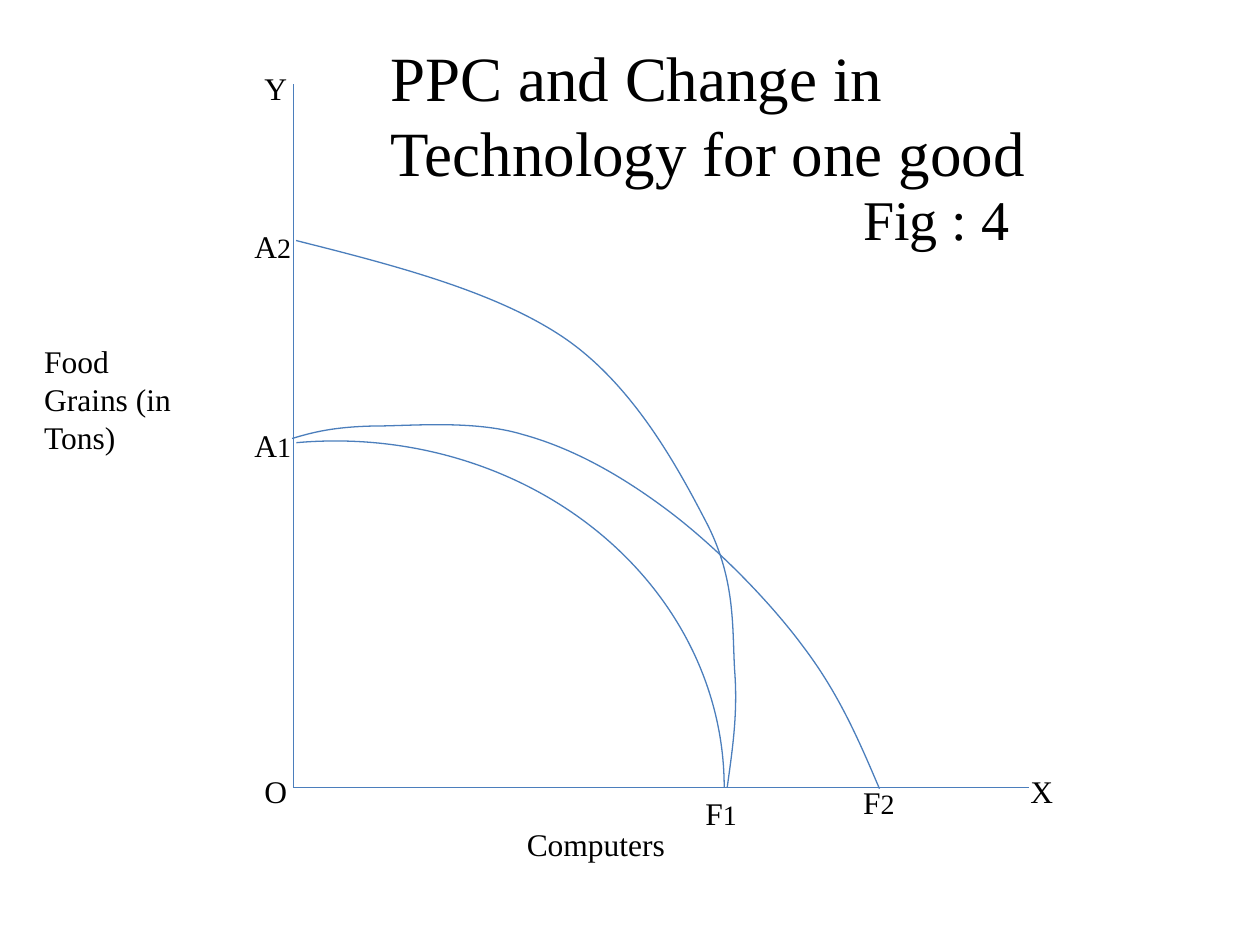
from dataclasses import dataclass

from lxml import etree
from pptx import Presentation
from pptx.dml.color import RGBColor
from pptx.enum.shapes import MSO_CONNECTOR, MSO_SHAPE
from pptx.enum.text import MSO_ANCHOR, MSO_AUTO_SIZE, PP_ALIGN
from pptx.oxml.ns import qn
from pptx.util import Cm, Pt

STRAIGHT = MSO_CONNECTOR.STRAIGHT
ARC = MSO_SHAPE.ARC
TOP = MSO_ANCHOR.TOP
GROW = MSO_AUTO_SIZE.SHAPE_TO_FIT_TEXT
LEFT = PP_ALIGN.LEFT


@dataclass(frozen=True)
class Theme:
    font: str = "Times New Roman"
    ink: RGBColor = RGBColor(0x00, 0x00, 0x00)
    curve: RGBColor = RGBColor(0x4B, 0x7E, 0xBC)
    line_width: float = 0.75
    title: int = 36
    figure: int = 32
    label: int = 18
    index: int = 16


theme = Theme()


def write_text(shape, box, runs):
    """Place a text shape and fill it with (text, size) runs."""
    shape.left, shape.top, shape.width, shape.height = [Cm(value) for value in box]
    frame = shape.text_frame
    frame.word_wrap = True
    frame.auto_size = GROW
    frame.vertical_anchor = TOP
    paragraph = frame.paragraphs[0]
    paragraph.alignment = LEFT
    for text, size in runs:
        run = paragraph.add_run()
        run.text = text
        run.font.name = theme.font
        run.font.size = Pt(size)
        run.font.color.rgb = theme.ink


def style_line(shape):
    shape.line.color.rgb = theme.curve
    shape.line.width = Pt(theme.line_width)


presentation = Presentation()
presentation.slide_width = Cm(25.4)
presentation.slide_height = Cm(19.05)
slide = presentation.slides.add_slide(presentation.slide_layouts[5])
shapes = slide.shapes

# Axes
origin = (5.92, 15.88)
for end in [(5.92, 1.7), (20.75, 15.88)]:
    axis = shapes.add_connector(STRAIGHT, *[Cm(value) for value in origin + end])
    style_line(axis)
    etree.SubElement(axis._element.spPr, qn("a:effectLst"))

# First frontier, A1 to F1
frontier = shapes.add_shape(ARC, Cm(-1.07), Cm(8.89), Cm(15.67), Cm(13.97))
frontier.adjustments[0] = 158.115
frontier.adjustments[1] = 0
frontier.fill.background()
frontier.shadow.inherit = False
style_line(frontier)

# Shifted frontiers: a start point, then three points for each Bezier piece
shifted_frontiers = [
    [(5.89, 8.84),
     (6.32, 8.71), (6.73, 8.61), (7.49, 8.59),
     (8.28, 8.59), (9.55, 8.46), (10.54, 8.76),
     (11.56, 9.04), (12.55, 9.6), (13.49, 10.31),
     (14.43, 11.02), (15.52, 12.12), (16.21, 13.06),
     (16.92, 14), (17.32, 14.94), (17.73, 15.9)],
    [(14.66, 15.88),
     (14.76, 15.14), (14.88, 14.4), (14.81, 13.51),
     (14.76, 12.65), (14.83, 11.71), (14.27, 10.59),
     (13.69, 9.47), (12.8, 7.8), (11.4, 6.83),
     (10.03, 5.89), (8, 5.36), (5.97, 4.85)],
]
for points in shifted_frontiers:
    start, *rest = [(Cm(x), Cm(y)) for x, y in points]
    builder = shapes.build_freeform(*start)
    builder.add_line_segments(rest, close=False)
    frontier = builder.convert_to_shape()
    frontier.fill.background()
    frontier.shadow.inherit = False
    style_line(frontier)
    # Turn every three straight segments into one Bezier piece
    segments = list(frontier._element.iter(qn("a:lnTo")))
    path_element = segments[0].getparent()
    for first in range(0, len(segments), 3):
        bezier = etree.SubElement(path_element, qn("a:cubicBezTo"))
        for segment in segments[first:first + 3]:
            bezier.append(segment[0])
            path_element.remove(segment)

# Point and axis labels: letter, index, left, top
point_labels = [
    ("A", "1", 4.88, 8.46),
    ("A", "2", 4.88, 4.45),
    ("F", "1", 13.97, 15.88),
    ("F", "2", 17.15, 15.67),
    ("X", "", 20.52, 15.44),
    ("Y", "", 5.08, 1.27),
    ("O", "", 5.08, 15.44),
]
texts = []
for letter, index, left, top in point_labels:
    runs = [(letter, theme.label)]
    if index:
        runs.append((index, theme.index))
    texts.append(((left, top, 1.9, 1.02), runs))

# Axis names and figure number
texts += [
    ((0.64, 6.78, 3.6, 2.57), [("Food Grains (in Tons)", theme.label)]),
    ((10.37, 16.51, 8.05, 1.02), [("Computers", theme.label)]),
    ((17.15, 3.6, 5.08, 1.63), [("Fig : 4", theme.figure)]),
]
for box, runs in texts:
    write_text(shapes.add_textbox(0, 0, 0, 0), box, runs)

# Title
write_text(shapes.title, (7.62, 0.64, 16.3, 3.33),
           [("PPC and Change in Technology for one good", theme.title)])

presentation.save("out.pptx")
